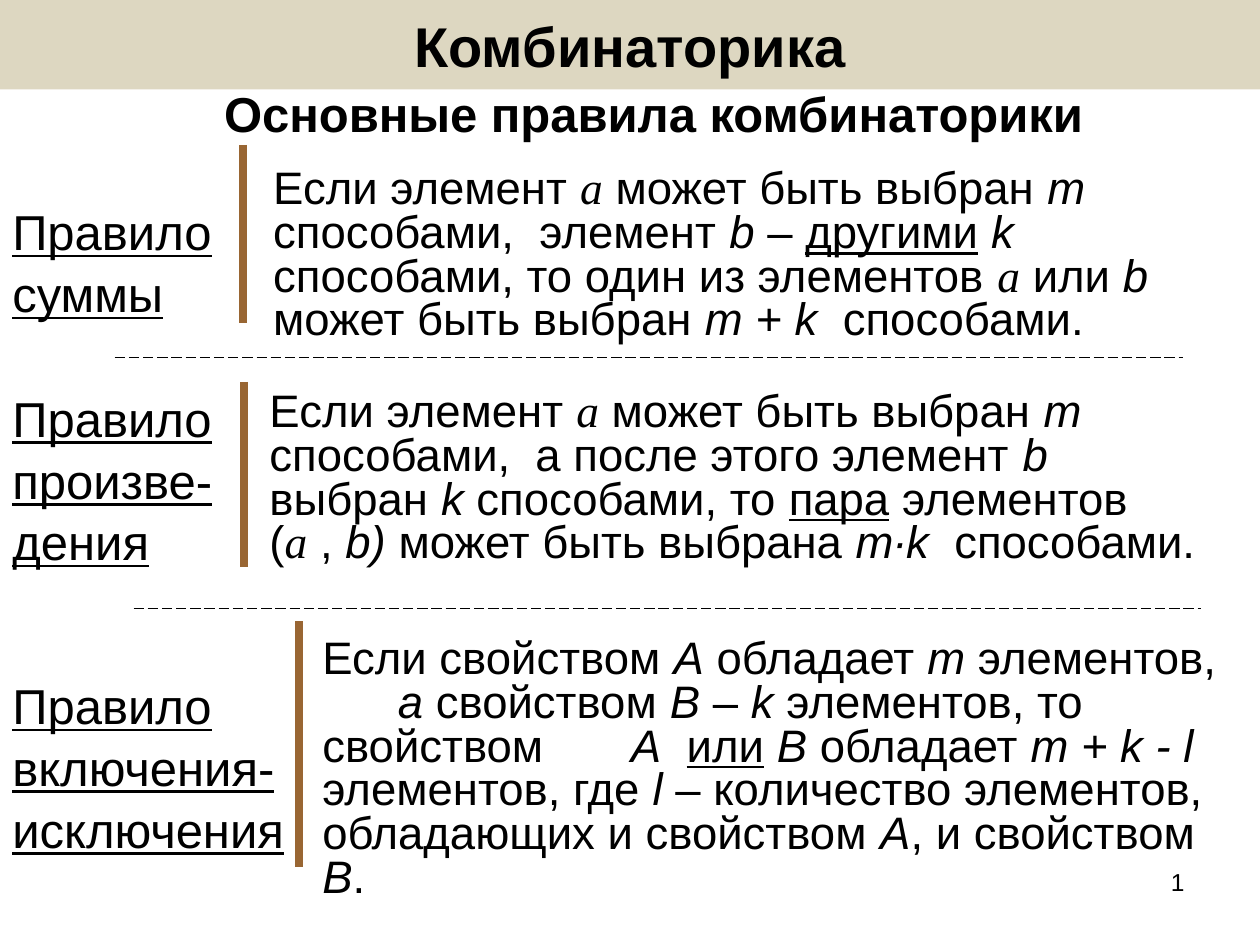
from dataclasses import dataclass
from typing import NamedTuple

from lxml.etree import SubElement
from pptx import Presentation
from pptx.dml.color import RGBColor
from pptx.enum.dml import MSO_LINE
from pptx.enum.shapes import MSO_CONNECTOR, MSO_SHAPE
from pptx.enum.text import MSO_ANCHOR, MSO_AUTO_SIZE, PP_ALIGN
from pptx.oxml.ns import qn
from pptx.util import Inches, Pt

BLACK = "000000"
BROWN = "996633"
SAND = "DDD7C1"


class Span(NamedTuple):
    text: str
    italic: bool = False
    underline: bool = False
    bold: bool = False
    font: str = "Arial"


class Area(NamedTuple):
    left: float
    top: float
    width: float
    height: float


class Stroke(NamedTuple):
    start: tuple[float, float]
    end: tuple[float, float]
    color: str
    weight: float
    dashed: bool = False


@dataclass
class Rule:
    label: str
    label_area: Area
    bar_left: float
    bar_top: float
    bar_bottom: float
    body_area: Area
    body: list[list[Span]]
    tabs: tuple[float, ...] = ()


def italic(text: str) -> Span:
    return Span(text, italic=True)


def underlined(text: str) -> Span:
    return Span(text, underline=True)


def color(value: str) -> RGBColor:
    return RGBColor.from_string(value)


def write(para, lines: list[list[Span]], size: float) -> None:
    for index, line in enumerate(lines):
        if index:
            para.add_line_break()
        for span in line:
            run = para.add_run()
            run.text = span.text
            run.font.name = span.font
            run.font.size = Pt(size)
            run.font.bold = span.bold
            run.font.italic = span.italic
            run.font.underline = span.underline
            run.font.color.rgb = color(BLACK)


def add_tabs(para, stops: tuple[float, ...]) -> None:
    tab_list = SubElement(para._p.get_or_add_pPr(), qn("a:tabLst"))
    for stop in stops:
        SubElement(tab_list, qn("a:tab"), pos=str(Inches(stop)), algn="l")


def add_text(page, area: Area, lines: list[list[Span]], size: float,
             spacing: float = 1.0, align=PP_ALIGN.LEFT, grow: bool = True,
             tabs: tuple[float, ...] = ()) -> None:
    box = page.shapes.add_textbox(*map(Inches, area))
    frame = box.text_frame
    frame.word_wrap = True
    if grow:
        frame.auto_size = MSO_AUTO_SIZE.SHAPE_TO_FIT_TEXT
    para = frame.paragraphs[0]
    if tabs:
        add_tabs(para, tabs)
    para.alignment = align
    para.line_spacing = spacing
    write(para, lines, size)


def add_stroke(page, stroke: Stroke) -> None:
    line = page.shapes.add_connector(
        MSO_CONNECTOR.STRAIGHT, *map(Inches, stroke.start + stroke.end))
    line.line.color.rgb = color(stroke.color)
    line.line.width = Pt(stroke.weight)
    if stroke.dashed:
        line.line.dash_style = MSO_LINE.LONG_DASH
    SubElement(line._element.spPr, qn("a:effectLst"))


def add_title(page, text: str) -> None:
    band = page.shapes.add_shape(
        MSO_SHAPE.RECTANGLE, *map(Inches, Area(0, 0, 10, 0.71)))
    band.shadow.inherit = False
    band.fill.solid()
    band.fill.fore_color.rgb = color(SAND)
    band.line.fill.background()
    band.text_frame.word_wrap = True
    band.text_frame.vertical_anchor = MSO_ANCHOR.MIDDLE
    para = band.text_frame.paragraphs[0]
    para.alignment = PP_ALIGN.CENTER
    write(para, [[Span(text, bold=True)]], 32)


def add_rule(page, rule: Rule) -> None:
    first, rest = rule.label.split(" ")
    label = [underlined(first), Span(" "), underlined(rest)]
    add_text(page, rule.label_area, [label], 28, spacing=1.05)
    add_stroke(page, Stroke((rule.bar_left, rule.bar_top),
                            (rule.bar_left, rule.bar_bottom), BROWN, 4.5))
    add_text(page, rule.body_area, rule.body, 26, spacing=0.8, tabs=rule.tabs)


SERIF_A = Span("a", italic=True, font="Times New Roman")
CHOICE_OF_A = [Span("Если элемент "), SERIF_A,
               Span(" может быть выбран "), italic("m")]

RULES = [
    Rule("Правило суммы", Area(0, 1.53, 1.96, 1.04), 1.93, 1.15, 2.56,
         Area(2.07, 1.3, 7.58, 1.49),
         [CHOICE_OF_A + [
             Span(" способами,  элемент "), italic("b"), Span(" – "),
             underlined("другими"), Span(" "), italic("k"),
             Span(" способами, то один из элементов "), SERIF_A,
             Span(" или "), italic("b"), Span(" может быть выбран "),
             italic("m + k"), Span("  способами.")]]),
    Rule("Правило произве-дения", Area(0, 3.01, 1.81, 1.5), 1.94, 3.03, 4.5,
         Area(2.04, 3.07, 7.58, 1.49),
         [CHOICE_OF_A + [
             Span(" способами,  а после этого элемент "), italic("b"),
             Span(" выбран "), italic("k"), Span(" способами, то "),
             underlined("пара"), Span(" элементов")],
          [Span("("), SERIF_A, Span(" , "), italic("b)"),
           Span(" может быть выбрана "), italic("m∙k"),
           Span("  способами.")]]),
    Rule("Правило включения-исключения", Area(0, 5.29, 2.38, 1.5),
         2.37, 4.93, 6.88, Area(2.46, 5.03, 7.54, 2.18),
         [[Span("Если свойством "), italic("А"), Span(" обладает "),
           italic("m"), Span(" элементов,")],
          [Span("\t"), italic("a"), Span(" свойством "), italic("В"),
           Span(" – "), italic("k"), Span(" элементов, то свойством\t"),
           italic("А  "), underlined("или"), Span(" "), italic("В"),
           Span(" обладает "), italic("m + k - l"),
           Span(" элементов, где "), italic("l"),
           Span(" – количество элементов, обладающих и свойством "),
           italic("А"), Span(", и свойством "), italic("В"), Span(".")]],
         tabs=(0.6, 2.45)),
]

DIVIDERS = [
    Stroke((0.91, 2.84), (9.39, 2.84), BLACK, 0.75, dashed=True),
    Stroke((1.06, 4.83), (9.53, 4.83), BLACK, 0.75, dashed=True),
]


def main() -> None:
    deck = Presentation()
    deck.slide_width = Inches(10)
    deck.slide_height = Inches(7.5)
    page = deck.slides.add_slide(deck.slide_layouts[6])
    add_title(page, "Комбинаторика")
    heading = [Span("Основные правила комбинаторики", bold=True)]
    add_text(page, Area(1.68, 0.72, 7.35, 0.45), [heading], 28, spacing=0.75)
    for divider in DIVIDERS:
        add_stroke(page, divider)
    for rule in RULES:
        add_rule(page, rule)
    add_text(page, Area(7.17, 6.83, 2.33, 0.52), [[Span("1")]], 14,
             align=PP_ALIGN.RIGHT, grow=False)
    deck.save("out.pptx")


if __name__ == "__main__":
    main()
